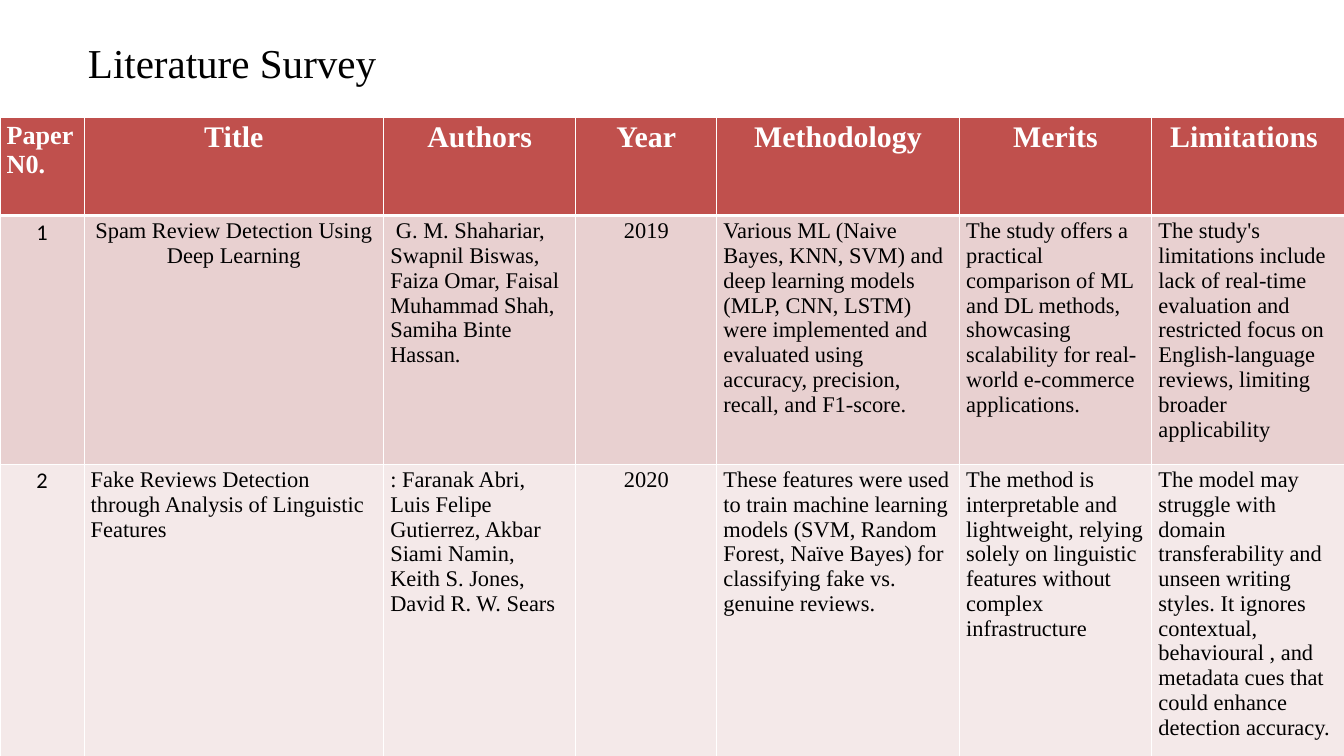
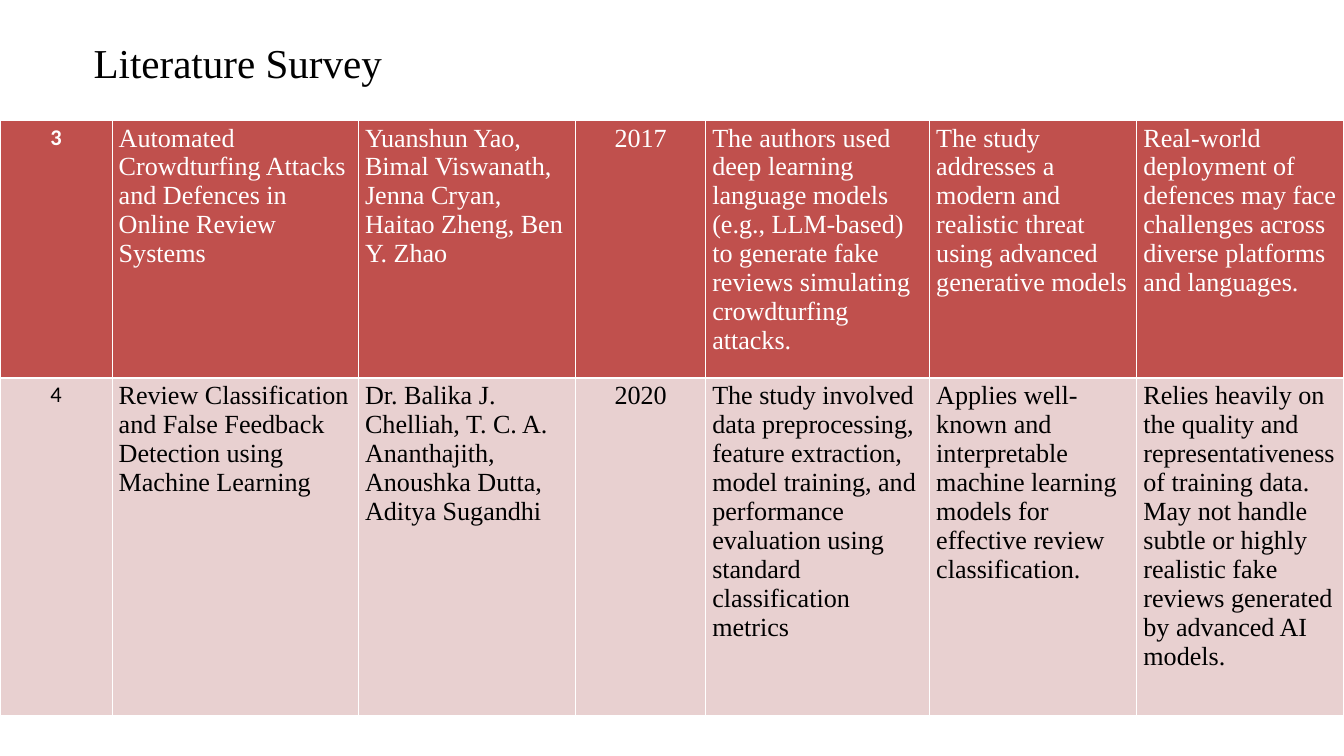
import pptx
import pptx.util
import pptx.dml.color
import pptx.enum.text
import pptx.oxml.ns
import lxml.etree

Pt = pptx.util.Pt
RGB = pptx.dml.color.RGBColor.from_string
CENTER = pptx.enum.text.PP_ALIGN.CENTER
LEFT = pptx.enum.text.PP_ALIGN.LEFT
MIDDLE = pptx.enum.text.MSO_ANCHOR.MIDDLE
qn = pptx.oxml.ns.qn

COLORS = {"black": "000000", "white": "FFFFFF", "head": "C0504D",
          "odd": "E8D0D0", "even": "F4E9E9"}
BANDS = [COLORS["head"], COLORS["odd"], COLORS["even"]]
SERIF = "Times New Roman"
SANS = "Calibri"


def style(frame, font, size, color, align, bold=False):
    for para in frame.paragraphs:
        para.alignment = align
        for run in para.runs:
            run.font.name = font
            run.font.size = Pt(size)
            run.font.bold = bold
            run.font.color.rgb = RGB(color)


def border(cell, row):
    props = cell._tc.get_or_add_tcPr()
    widths = {"L": 1, "R": 1, "T": 3 if row == 1 else 1, "B": 3 if row == 0 else 1}
    for side, width in widths.items():
        line = lxml.etree.SubElement(props, qn("a:ln" + side), w=str(Pt(width)))
        fill = lxml.etree.SubElement(line, qn("a:solidFill"))
        lxml.etree.SubElement(fill, qn("a:srgbClr"), val=COLORS["white"])


PAGES = [
    {
        "title": 426, "top": 126, "size": 24, "labels": True,
        "cols": [90, 321, 206, 151, 260, 206, 206],
        "rows": [105, 255, 324],
        "centred": [(1, 1)],
        "cells": [
            ["Paper\nN0.", "Title", "Authors", "Year", "Methodology", "Merits",
             "Limitations "],
            ["1",
             "Spam Review Detection Using Deep Learning",
             " G. M. Shahariar, Swapnil Biswas, Faiza Omar, Faisal Muhammad Shah, "
             "Samiha Binte Hassan.",
             "2019",
             "Various ML (Naive Bayes, KNN, SVM) and deep learning models "
             "(MLP, CNN, LSTM) were implemented and evaluated using accuracy, "
             "precision, recall, and F1-score.",
             "The study offers a practical comparison of ML and DL methods, "
             "showcasing scalability for real-world e-commerce applications.",
             "The study's limitations include lack of real-time evaluation and "
             "restricted focus on English-language reviews, limiting broader "
             "applicability"],
            ["2",
             "Fake Reviews Detection through Analysis of Linguistic Features",
             ": Faranak Abri, Luis Felipe Gutierrez, Akbar Siami Namin, "
             "Keith S. Jones, David R. W. Sears",
             "2020",
             "These features were used to train machine learning models "
             "(SVM, Random Forest, Naïve Bayes) for classifying fake vs. "
             "genuine reviews.",
             "The method is interpretable and lightweight, relying solely on "
             "linguistic features without complex infrastructure",
             "The model may struggle with domain transferability and unseen "
             "writing styles. It ignores contextual, behavioural , and metadata "
             "cues that could enhance detection accuracy."],
        ],
    },
    {
        "title": 438, "top": 129, "size": 28, "labels": False,
        "cols": [120, 264, 233, 139, 240, 222, 222],
        "rows": [254, 361],
        "centred": [],
        "cells": [
            ["3",
             "Automated Crowdturfing Attacks and Defences in Online Review Systems",
             "Yuanshun Yao, Bimal Viswanath, Jenna Cryan, Haitao Zheng, Ben Y. Zhao",
             "2017",
             "The authors used deep learning language models (e.g., LLM-based) to "
             "generate fake reviews simulating crowdturfing attacks.",
             "The study addresses a modern and realistic threat using advanced "
             "generative models",
             "Real-world deployment of defences may face challenges across "
             "diverse platforms and languages."],
            ["4",
             "Review Classification and False Feedback Detection using "
             "Machine Learning",
             "Dr. Balika J. Chelliah, T. C. A. Ananthajith, Anoushka Dutta, "
             "Aditya Sugandhi",
             "2020",
             "The study involved data preprocessing, feature extraction, model "
             "training, and performance evaluation using standard "
             "classification metrics",
             "Applies well-known and interpretable machine learning models for "
             "effective review classification.",
             "Relies heavily on the quality and representativeness of training "
             "data. May not handle subtle or highly realistic fake reviews "
             "generated by advanced AI models."],
        ],
    },
]

deck = pptx.Presentation()
deck.slide_width = Pt(1440)
deck.slide_height = Pt(810)

for page in PAGES:
    slide = deck.slides.add_slide(deck.slide_layouts[6])

    title = slide.shapes.add_textbox(Pt(36), Pt(22), Pt(page["title"]), Pt(90))
    frame = title.text_frame
    frame.word_wrap = True
    frame.vertical_anchor = MIDDLE
    frame.text = "Literature Survey"
    style(frame, SERIF, 44, COLORS["black"], CENTER)

    rows, cols = page["rows"], page["cols"]
    table = slide.shapes.add_table(len(rows), len(cols), Pt(0), Pt(page["top"]),
                                   Pt(sum(cols)), Pt(sum(rows))).table
    for col, width in enumerate(cols):
        table.columns[col].width = Pt(width)

    for row, height in enumerate(rows):
        table.rows[row].height = Pt(height)
        for col, text in enumerate(page["cells"][row]):
            cell = table.cell(row, col)
            border(cell, row)
            cell.fill.solid()
            cell.fill.fore_color.rgb = RGB(BANDS[row])
            cell.text_frame.text = text

            color = COLORS["white" if row == 0 else "black"]
            if page["labels"] and row == 0:
                size = 28 if col == 0 else 32
                align = LEFT if col == 0 else CENTER
                style(cell.text_frame, SERIF, size, color, align, True)
            elif col == 0:
                style(cell.text_frame, SANS, 24, color, CENTER, row == 0)
            else:
                mid = col == 3 or (row, col) in page["centred"]
                style(cell.text_frame, SERIF, page["size"], color,
                      CENTER if mid else LEFT)

deck.save("out.pptx")
